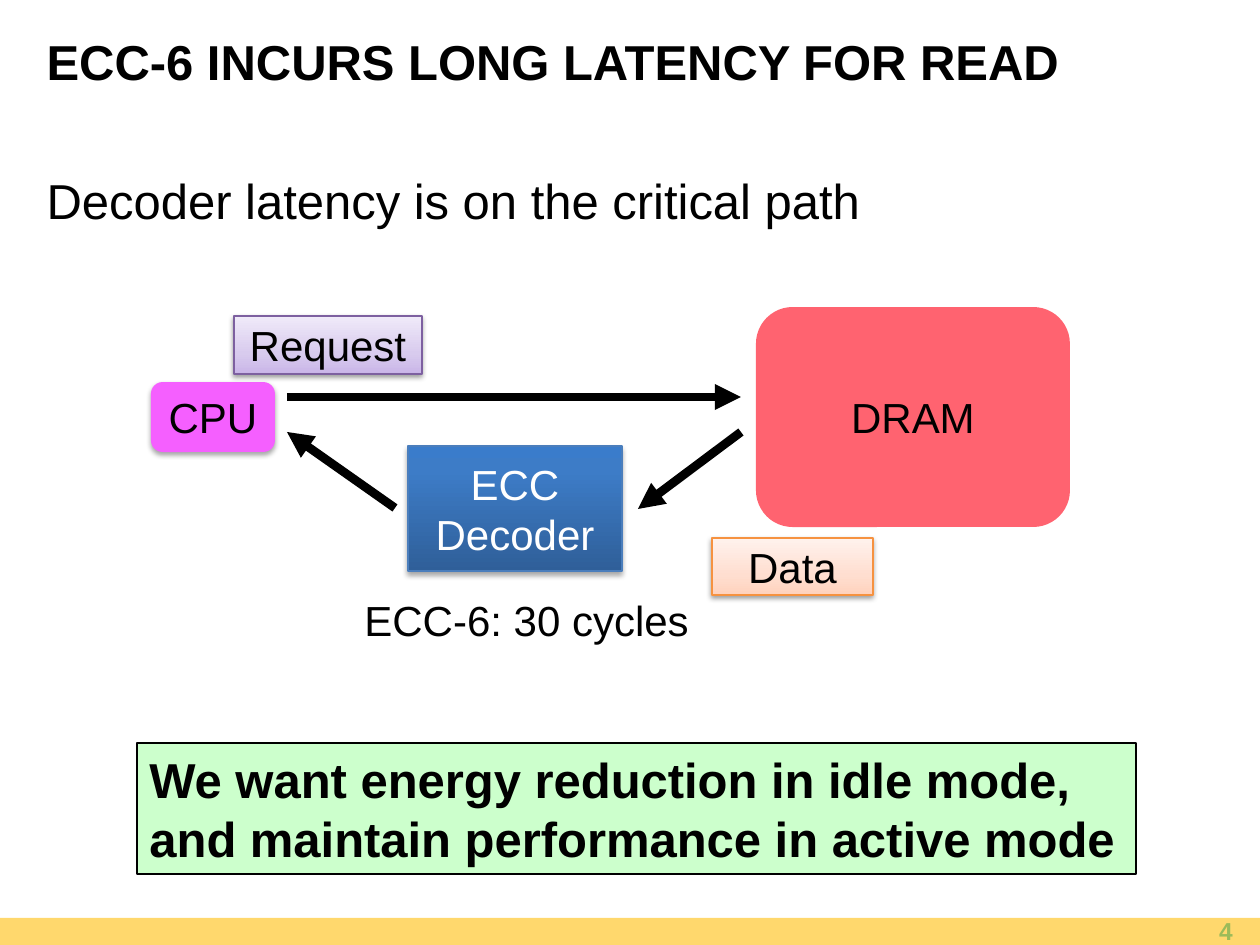
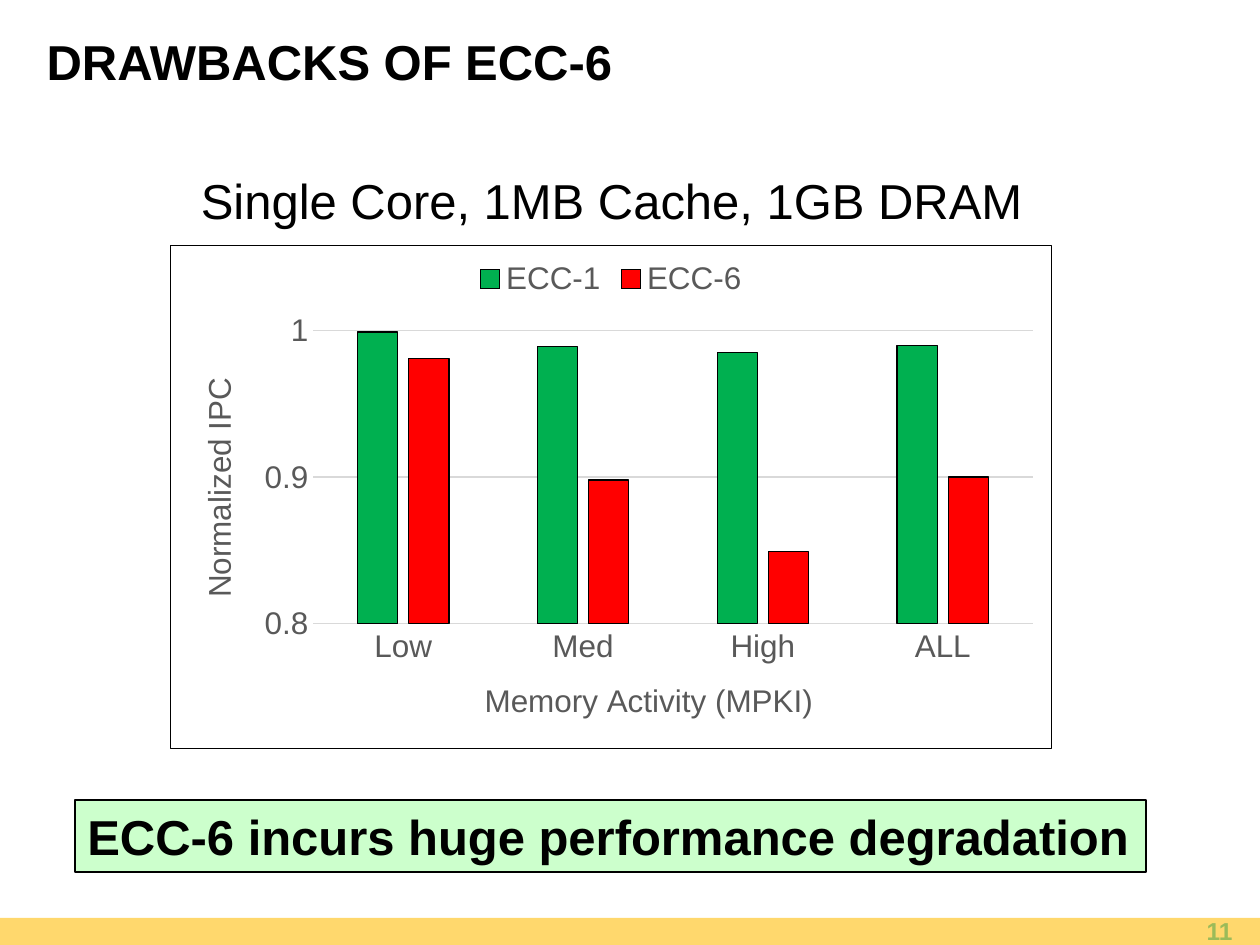
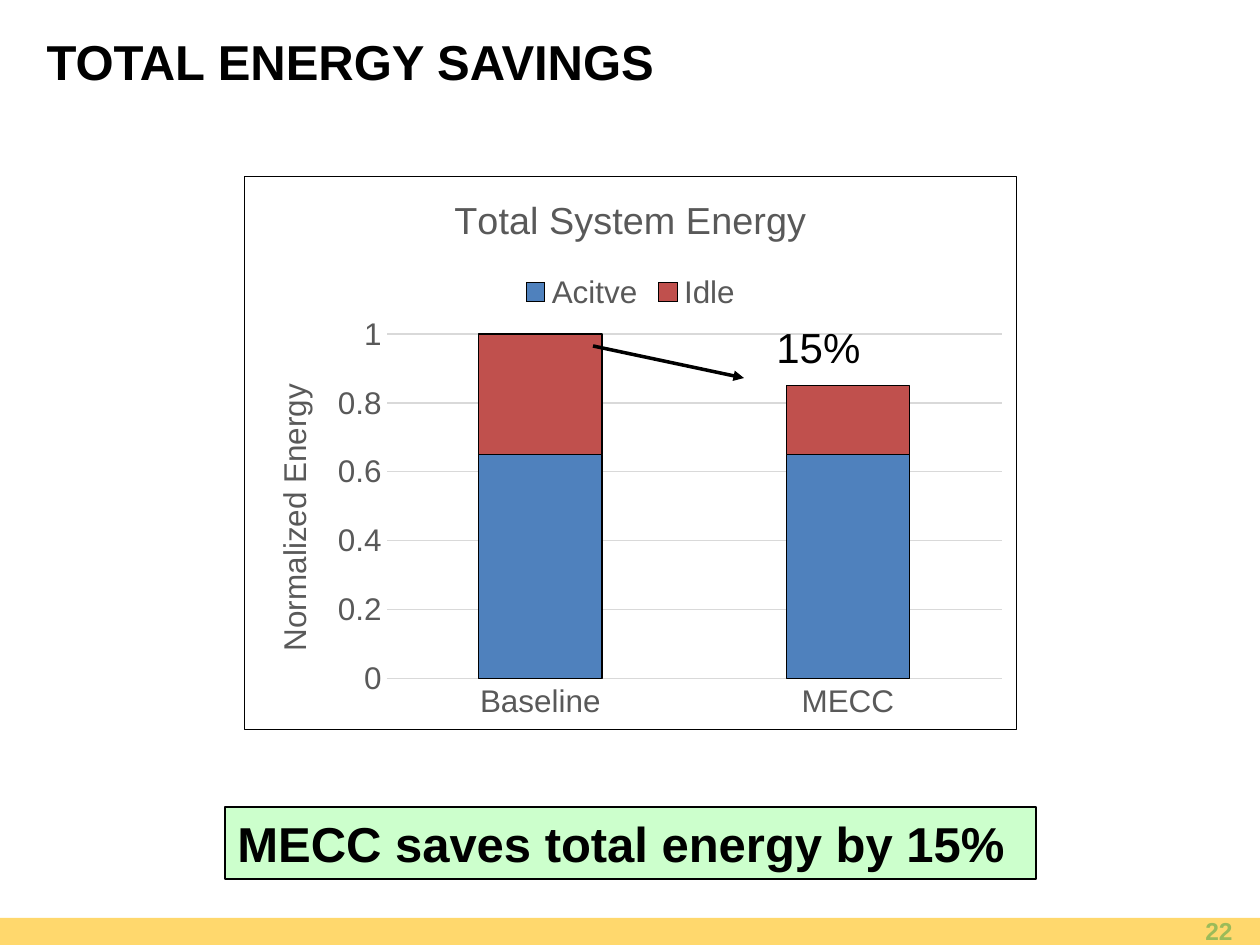
from pptx import Presentation
from pptx.chart.data import CategoryChartData
from pptx.dml.color import RGBColor
from pptx.enum.chart import XL_CHART_TYPE, XL_LEGEND_POSITION, XL_TICK_MARK
from pptx.enum.shapes import MSO_CONNECTOR, MSO_SHAPE
from pptx.enum.text import MSO_ANCHOR, PP_ALIGN
from pptx.oxml import parse_xml
from pptx.oxml.ns import nsdecls, qn
from pptx.util import Emu, Pt

RECT = MSO_SHAPE.RECTANGLE
ROUND = MSO_SHAPE.ROUNDED_RECTANGLE
STRAIGHT = MSO_CONNECTOR.STRAIGHT
LEFT, CENTER, RIGHT = PP_ALIGN.LEFT, PP_ALIGN.CENTER, PP_ALIGN.RIGHT
TOP, MIDDLE = MSO_ANCHOR.TOP, MSO_ANCHOR.MIDDLE
CLUSTERED = XL_CHART_TYPE.COLUMN_CLUSTERED
STACKED = XL_CHART_TYPE.COLUMN_STACKED
LEGEND_TOP = XL_LEGEND_POSITION.TOP
NO_TICK = XL_TICK_MARK.NONE

SCALE = 914400 / 126
FONT = "Arial"
BLACK, WHITE = "000000", "FFFFFF"
BAND, NUMBER, CALLOUT = "FFD86D", "9BBB59", "CCFFCC"
CHART_TEXT, GRID = "595959", "D9D9D9"
PURPLE = [(0, "C9B5E8"), (35, "D8CBEE"), (100, "F0EAF9")]
BLUE = [(0, "2F5F99"), (80, "3D7CC7"), (100, "3A7CCB")]
ORANGE = [(0, "FFD2BD"), (35, "FFDED0"), (100, "FFF2ED")]


def px(length):
    """Turn pixels into EMU."""
    return Emu(round(length * SCALE))


def area(*lengths):
    """Turn left, top, width and height into EMU."""
    return [px(length) for length in lengths]


def rgb(value):
    """Turn a hex string into a colour."""
    return RGBColor.from_string(value)


def style_font(font, size, colour, bold=False):
    """Set typeface, size, colour and weight."""
    font.name, font.size, font.bold = FONT, Pt(size), bold
    font.color.rgb = rgb(colour)


def style_line(line, colour, width=0.75):
    """Set the colour and width of a line."""
    line.color.rgb = rgb(colour)
    line.width = Pt(width)


def write(frame, lines, size=24, colour=BLACK, bold=False, align=LEFT, anchor=TOP, wrap=True):
    """Write one paragraph for each line into a text frame."""
    frame.word_wrap = wrap
    frame.vertical_anchor = anchor
    for index, line in enumerate(lines):
        para = frame.add_paragraph() if index else frame.paragraphs[0]
        para.alignment = align
        span = para.add_run()
        span.text = line
        style_font(span.font, size, colour, bold)


def add_label(page, text, bounds, **style):
    """Add a text box."""
    box = page.shapes.add_textbox(*area(*bounds))
    write(box.text_frame, [text], **style)
    return box


def add_callout(page, text, bounds):
    """Add the green box with the message of the page."""
    box = add_label(page, text, bounds, size=28, bold=True)
    box.fill.solid()
    box.fill.fore_color.rgb = rgb(CALLOUT)
    style_line(box.line, BLACK)


def fill_plain(shape, colour, opacity=100):
    """Fill a shape with one colour."""
    shape.fill.solid()
    shape.fill.fore_color.rgb = rgb(colour)
    if opacity < 100:
        tone = shape.element.spPr.find(".//" + qn("a:srgbClr"))
        tone.append(parse_xml(f'<a:alpha {nsdecls("a")} val="{opacity * 1000}"/>'))


def fill_gradient(shape, stops):
    """Fill a shape with a gradient that runs upwards."""
    shape.fill.background()
    marks = "".join(
        f'<a:gs pos="{at * 1000}"><a:srgbClr val="{colour}"/></a:gs>' for at, colour in stops
    )
    gradient = parse_xml(
        f'<a:gradFill {nsdecls("a")} rotWithShape="1"><a:gsLst>{marks}</a:gsLst>'
        '<a:lin ang="16200000" scaled="0"/></a:gradFill>'
    )
    properties = shape.element.spPr
    properties.replace(properties.find(qn("a:noFill")), gradient)


def add_shadow(shape, opacity, distance):
    """Add a soft shadow below a shape."""
    shape.element.spPr.find(qn("a:effectLst")).append(parse_xml(
        f'<a:outerShdw {nsdecls("a")} blurRad="{Pt(3.1)}" dist="{Pt(distance)}" dir="5400000" '
        f'rotWithShape="0"><a:srgbClr val="{BLACK}"><a:alpha val="{opacity * 1000}"/>'
        "</a:srgbClr></a:outerShdw>"
    ))


def add_block(page, lines, bounds, fill, kind=RECT, opacity=100, edge=None, shadow=None,
              colour=BLACK):
    """Add a shape with centred text."""
    block = page.shapes.add_shape(kind, *area(*bounds))
    block.shadow.inherit = False
    if isinstance(fill, str):
        fill_plain(block, fill, opacity)
    else:
        fill_gradient(block, fill)
    if edge:
        style_line(block.line, edge)
    else:
        block.line.fill.background()
    if shadow:
        add_shadow(block, *shadow)
    write(block.text_frame, lines, colour=colour, align=CENTER, anchor=MIDDLE)


def add_arrow(page, start, end, width):
    """Add a black arrow from start to end."""
    arrow = page.shapes.add_connector(STRAIGHT, *area(*start, *end))
    style_line(arrow.line, BLACK, width)
    arrow.line._get_or_add_ln().append(parse_xml(f'<a:tailEnd {nsdecls("a")} type="triangle"/>'))
    arrow.element.spPr.append(parse_xml(f'<a:effectLst {nsdecls("a")}/>'))


def set_layout(element, index, settings):
    """Give a chart part a fixed place in fractions of the chart."""
    old = element.find(qn("c:layout"))
    if old is not None:
        element.remove(old)
    items = "".join(f'<c:{name} val="{value}"/>' for name, value in settings)
    element.insert(index, parse_xml(
        f'<c:layout {nsdecls("c")}><c:manualLayout>{items}</c:manualLayout></c:layout>'
    ))


def edge_settings(bounds, point):
    """Express a point as fractions of the chart bounds."""
    left, top, width, height = bounds
    return [("xMode", "edge"), ("yMode", "edge"),
            ("x", round((point[0] - left) / width, 3)),
            ("y", round((point[1] - top) / height, 3))]


def write_chart_title(title, text, bounds, point, size=18):
    """Write a chart or axis title at a point of the page."""
    span = title.text_frame.paragraphs[0].add_run()
    span.text = text
    style_font(span.font, size, CHART_TEXT)
    set_layout(title.element, 1, edge_settings(bounds, point))


def add_columns(page, kind, bounds, plot_bounds, categories, series, gap, overlap, scale):
    """Add a framed column chart and return it."""
    data = CategoryChartData()
    data.categories = categories
    for name, values, _ in series:
        data.add_series(name, values)
    chart = page.shapes.add_chart(kind, *area(*bounds), data).chart
    style_font(chart.font, 18, CHART_TEXT)
    chart.has_title = False
    chart.has_legend = True
    chart.legend.position = LEGEND_TOP
    chart.legend.include_in_layout = False
    style_font(chart.legend.font, 18, CHART_TEXT)

    plot = chart.plots[0]
    plot.gap_width, plot.overlap, plot.vary_by_categories = gap, overlap, False
    for column, (_, _, colour) in zip(plot.series, series):
        column.format.fill.solid()
        column.format.fill.fore_color.rgb = rgb(colour)
        column.invert_if_negative = False
        style_line(column.format.line, BLACK)

    for axis in (chart.category_axis, chart.value_axis):
        axis.major_tick_mark = axis.minor_tick_mark = NO_TICK
        style_font(axis.tick_labels.font, 18, CHART_TEXT)
    style_line(chart.category_axis.format.line, GRID)
    values = chart.value_axis
    values.minimum_scale, values.maximum_scale, values.major_unit = scale
    values.format.line.fill.background()
    style_line(values.major_gridlines.format.line, GRID)

    size = [("w", round(plot_bounds[2] / bounds[2], 3)), ("h", round(plot_bounds[3] / bounds[3], 3))]
    chart_node = chart.element.find(qn("c:chart"))
    set_layout(chart_node.find(qn("c:plotArea")), 0,
               [("layoutTarget", "inner")] + edge_settings(bounds, plot_bounds) + size)
    chart_node.addnext(parse_xml(
        f'<c:spPr {nsdecls("c", "a")}><a:noFill/><a:ln w="{Pt(0.75)}"><a:solidFill>'
        f'<a:srgbClr val="{BLACK}"/></a:solidFill></a:ln></c:spPr>'
    ))
    return chart


def place(holder, bounds):
    """Move a placeholder to the given bounds."""
    holder.left, holder.top, holder.width, holder.height = area(*bounds)


def write_body(page, text, height, align=LEFT):
    """Write the body line without a bullet."""
    body = page.placeholders[1]
    place(body, (34, 164, 1155, height))
    write(body.text_frame, [text], size=28, align=align)
    properties = body.text_frame.paragraphs[0]._p.get_or_add_pPr()
    properties.set("marL", "0")
    properties.set("indent", "0")
    properties.append(parse_xml(f'<a:buNone {nsdecls("a")}/>'))


def add_page(deck, layout, title, number):
    """Add a page with the shared band, title and page number."""
    page = deck.slides.add_slide(deck.slide_layouts[layout])
    add_block(page, [], (0, 918, 1260, 27), BAND)
    place(page.shapes.title, (34, 27, 1155, 67))
    write(page.shapes.title.text_frame, [title], size=28, bold=True, anchor=MIDDLE)
    add_label(page, number, (951, 914, 294, 33), size=14, colour=NUMBER, bold=True,
              align=RIGHT, anchor=MIDDLE)
    return page


def build_latency(deck):
    """Build the page with the read path."""
    page = add_page(deck, 1, "ECC-6 INCURS LONG LATENCY FOR READ", "4")
    write_body(page, "Decoder latency is on the critical path", 108)
    add_block(page, ["DRAM"], (756, 307, 314, 220), "FF3041", ROUND, opacity=75)
    add_block(page, ["CPU"], (151, 382, 124, 70), "F55FFF", ROUND, shadow=(35, 1.8))
    add_block(page, ["Request"], (234, 316, 188, 58), PURPLE, edge="7D60A0", shadow=(38, 1.6))
    add_block(page, ["ECC", "Decoder"], (408, 446, 214, 125), BLUE, edge="4B7EBC",
              shadow=(35, 1.8), colour=WHITE)
    for start, end in (((287, 397), (741, 397)), ((741, 432), (638, 509)), ((395, 508), (287, 432))):
        add_arrow(page, start, end, 5)
    add_block(page, ["Data"], (712, 538, 161, 57), ORANGE, edge="F69240", shadow=(38, 1.6))
    add_label(page, "ECC-6: 30 cycles", (352, 588, 353, 63), wrap=False)
    add_callout(page, "We want energy reduction in idle mode, "
                      "and maintain performance in active mode", (137, 743, 999, 131))


def build_drawbacks(deck):
    """Build the page with the performance chart."""
    page = add_page(deck, 1, "DRAWBACKS OF ECC-6", "11")
    write_body(page, "Single Core, 1MB Cache, 1GB DRAM", 665, CENTER)
    add_callout(page, "ECC-6 incurs huge performance degradation", (75, 800, 1071, 72))
    bounds = (170, 245, 882, 504)
    chart = add_columns(
        page, CLUSTERED, bounds, (313, 330, 721, 294), ["Low", "Med", "High", "ALL"],
        [("ECC-1", (0.999, 0.989, 0.985, 0.99), "00B050"),
         ("ECC-6", (0.981, 0.898, 0.849, 0.9), "FF0000")],
        gap=219, overlap=-27, scale=(0.8, 1, 0.1))
    write_chart_title(chart.category_axis.axis_title, "Memory Activity (MPKI)", bounds, (479, 675))
    write_chart_title(chart.value_axis.axis_title, "Normalized IPC", bounds, (192, 372))


def build_savings(deck):
    """Build the page with the energy chart."""
    page = add_page(deck, 5, "TOTAL ENERGY SAVINGS", "22")
    bounds = (244, 176, 773, 554)
    chart = add_columns(
        page, STACKED, bounds, (386, 334, 616, 345), ["Baseline", "MECC"],
        [("Acitve", (0.65, 0.65), "4F81BD"), ("Idle", (0.35, 0.2), "C0504D")],
        gap=150, overlap=100, scale=(0, 1, 0.2))
    write_chart_title(chart.chart_title, "Total System Energy", bounds, (447, 188), 21.6)
    write_chart_title(chart.value_axis.axis_title, "Normalized Energy", bounds, (267, 378))
    add_arrow(page, (593, 346), (744, 378), 2)
    add_label(page, "15%", (764, 315, 132, 63))
    add_callout(page, "MECC saves total energy by 15%", (225, 807, 811, 72))


def main():
    """Build the deck and save it."""
    deck = Presentation()
    deck.slide_width, deck.slide_height = px(1260), px(945)
    build_latency(deck)
    build_drawbacks(deck)
    build_savings(deck)
    deck.save("out.pptx")


main()
